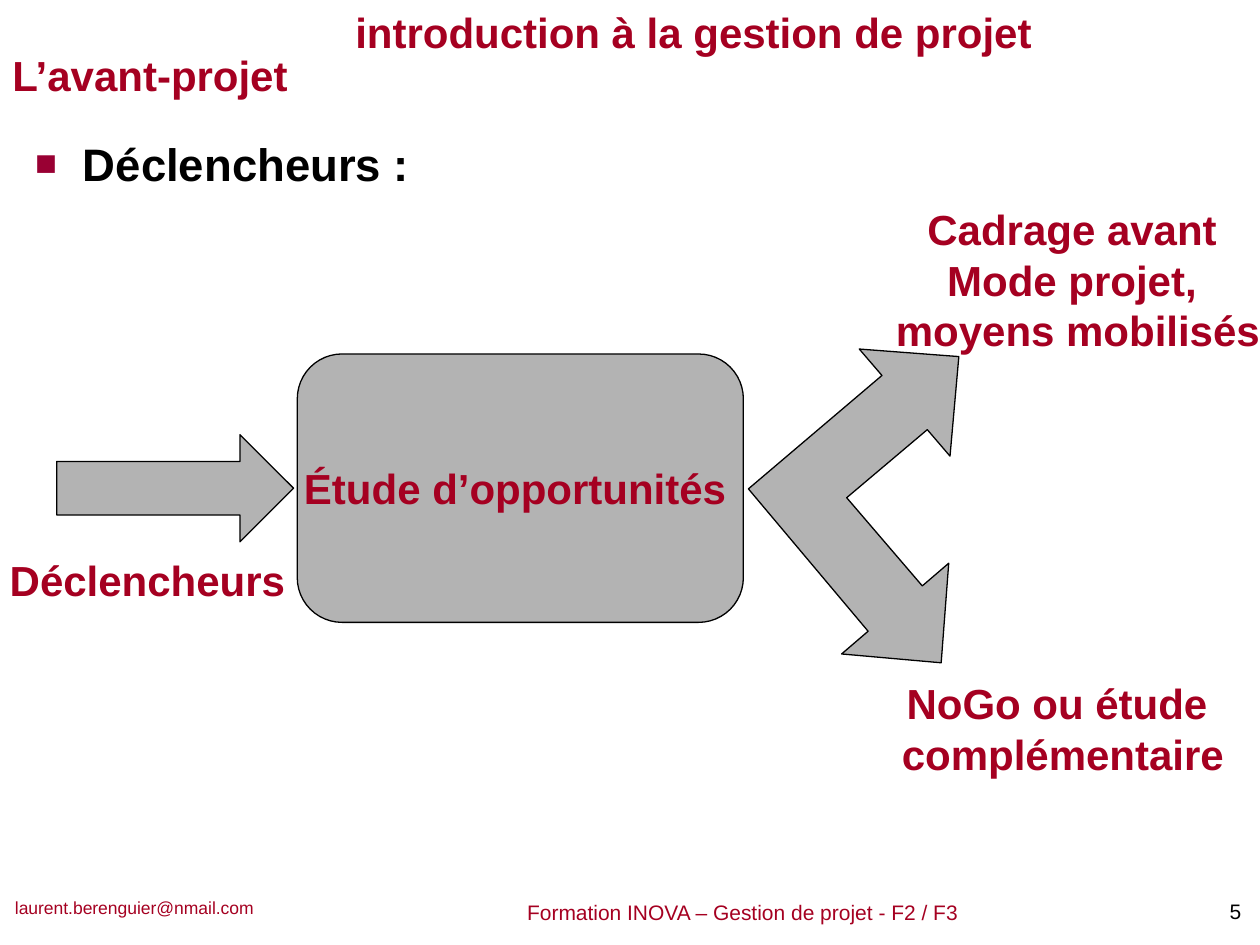
from collections import namedtuple

from lxml.etree import SubElement
from pptx import Presentation
from pptx.dml.color import RGBColor
from pptx.enum.shapes import MSO_SHAPE
from pptx.enum.text import MSO_ANCHOR, MSO_AUTO_SIZE, PP_ALIGN
from pptx.oxml.ns import qn
from pptx.util import Inches, Pt

Box = namedtuple("Box", "left top width height")

COLORS = {
    "accent": "A50021",
    "bullet": "990033",
    "text": "000000",
    "shape": "B3B3B3",
}
HEADING = {"size": Pt(24), "bold": True}
BODY = {"size": Pt(26), "bold": True}
SMALL = {"size": Pt(10), "bold": False}
NOTE = {"size": Pt(12), "bold": False}
INSETS = {
    "margin_left": Inches(0.1),
    "margin_top": Inches(0.05),
    "margin_right": Inches(0.1),
    "margin_bottom": Inches(0.05),
}


def set_values(target, values):
    for name, value in values.items():
        setattr(target, name, value)


def inside(box, left, top, width, height):
    return Box(box.left + Inches(left), box.top + Inches(top), Inches(width), Inches(height))


def write(shape, lines, font, color="accent", align=PP_ALIGN.LEFT, wrap=True, anchor=MSO_ANCHOR.TOP):
    frame = shape.text_frame
    set_values(frame, {**INSETS, "word_wrap": wrap, "vertical_anchor": anchor})
    for index, line in enumerate(lines):
        para = frame.paragraphs[0] if index == 0 else frame.add_paragraph()
        para.alignment = align
        span = para.add_run()
        span.text = line
        set_values(span.font, {"name": "Arial", **font})
        span.font.color.rgb = RGBColor.from_string(COLORS[color])
    return frame


def add_label(page, box, lines, font, **options):
    return write(page.shapes.add_textbox(*box), lines, font, **options)


def paint(shape):
    shape.shadow.inherit = False
    shape.fill.solid()
    shape.fill.fore_color.rgb = RGBColor.from_string(COLORS["shape"])
    shape.line.color.rgb = RGBColor.from_string(COLORS["text"])
    shape.line.width = Pt(0.75)


def add_bullet(para):
    properties = para._p.get_or_add_pPr()
    properties.set("marL", str(Inches(0.38)))
    properties.set("indent", str(Inches(-0.38)))
    color = SubElement(properties, qn("a:buClr"))
    SubElement(color, qn("a:srgbClr"), val=COLORS["bullet"])
    SubElement(properties, qn("a:buSzPct"), val="80000")
    SubElement(properties, qn("a:buFont"), typeface="Arial")
    SubElement(properties, qn("a:buChar"), char="■")


def add_header(page, box):
    add_label(page, inside(box, 1.84, 0, 7.33, 0.85),
              ["introduction à la gestion de projet"], HEADING, align=PP_ALIGN.CENTER)
    add_label(page, inside(box, 0, 0.34, 9.5, 1.25), ["L’avant-projet"], HEADING)


def add_body(page, box):
    frame = add_label(page, box, ["Déclencheurs :"], BODY, color="text")
    para = frame.paragraphs[0]
    para.space_before = Pt(6.5)
    add_bullet(para)


def add_fork(page, box):
    points = [
        (1.67, 0.06), (1.6, 0.85), (1.42, 0.64), (0.78, 1.18),
        (1.38, 1.88), (1.59, 1.7), (1.53, 2.49), (0.74, 2.42),
        (0.95, 2.24), (0, 1.11), (1.06, 0.21), (0.88, 0),
    ]
    corners = [(box.left + Inches(x), box.top + Inches(y)) for x, y in points]
    builder = page.shapes.build_freeform(*corners[0])
    builder.add_line_segments(corners[1:], close=True)
    paint(builder.convert_to_shape())


def add_diagram(page, box):
    arrow = page.shapes.add_shape(MSO_SHAPE.RIGHT_ARROW, *inside(box, 0.45, 1.88, 1.88, 0.85))
    paint(arrow)

    study = page.shapes.add_shape(MSO_SHAPE.ROUNDED_RECTANGLE, *inside(box, 2.36, 1.24, 3.54, 2.13))
    paint(study)
    frame = write(study, ["Étude d’opportunités"], HEADING, align=PP_ALIGN.CENTER,
                  wrap=False, anchor=MSO_ANCHOR.MIDDLE)
    frame.margin_right = Inches(0.18)

    add_fork(page, inside(box, 5.94, 1.2, 1.67, 2.49))

    labels = [
        ((-0.04, 2.78, 2.42, 0.5), ["Déclencheurs"]),
        ((6.99, 0, 3.13, 1.3), ["Cadrage avant ", "Mode projet, ", "moyens mobilisés"]),
        ((7.04, 3.76, 2.79, 0.9), ["NoGo ou étude ", "complémentaire"]),
    ]
    for place, lines in labels:
        frame = add_label(page, inside(box, *place), lines, HEADING,
                          align=PP_ALIGN.CENTER, wrap=False)
        frame.auto_size = MSO_AUTO_SIZE.SHAPE_TO_FIT_TEXT


def add_footer(page, box):
    add_label(page, inside(box, 0.02, 0, 2.47, 0.27), ["laurent.berenguier@nmail.com"], SMALL)
    add_label(page, inside(box, 3.49, 0.02, 4.81, 0.3),
              ["Formation INOVA – Gestion de projet - F2 / F3"], NOTE, align=PP_ALIGN.CENTER)
    add_label(page, inside(box, 8.99, 0.01, 0.96, 0.3), ["5"], NOTE,
              color="text", align=PP_ALIGN.RIGHT, wrap=False)


def main():
    deck = Presentation()
    set_values(deck, {"slide_width": Inches(10), "slide_height": Inches(7.5)})
    page = deck.slides.add_slide(deck.slide_layouts[6])
    whole = Box(0, 0, deck.slide_width, deck.slide_height)
    add_footer(page, inside(whole, 0, 7.07, 10, 0.32))
    add_header(page, inside(whole, 0, 0, 10, 1.59))
    add_body(page, inside(whole, 0.18, 1.03, 9.54, 5.64))
    add_diagram(page, inside(whole, 0, 1.57, 10, 4.66))
    deck.save("out.pptx")


if __name__ == "__main__":
    main()
